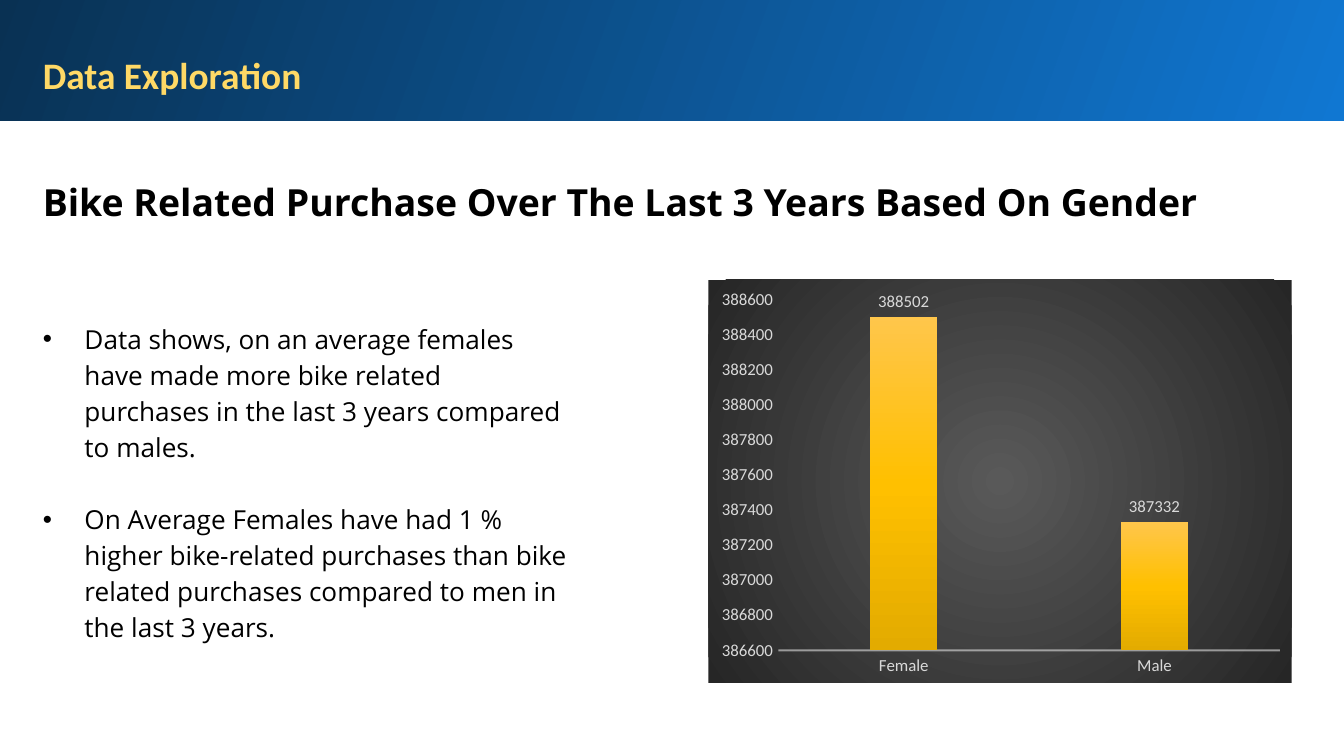
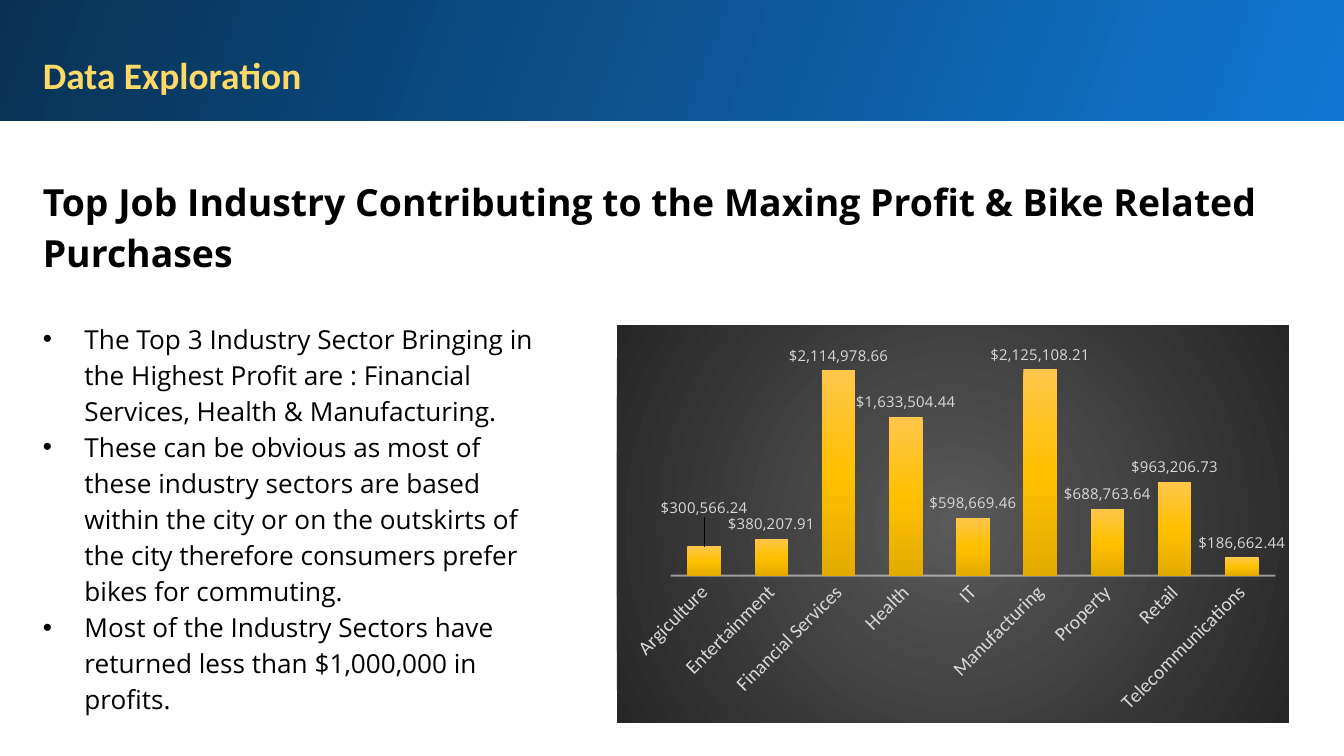
from dataclasses import dataclass
from typing import NamedTuple

from pptx import Presentation
from pptx import util as u
from pptx.chart.data import CategoryChartData
from pptx.dml.color import RGBColor
from pptx.enum import chart as ch, shapes, text
from pptx.oxml import parse_xml
from pptx.oxml.ns import nsdecls, qn

# Shared look
SLIDE_W, SLIDE_H = u.Inches(10), u.Inches(5.625)
BLACK, GOLD, PALE, AXIS = "000000", "FFD966", "D9D9D9", "F2F2F2"
HEAD_FONT, BODY_FONT = "Calibri", "Open Sans"
BAND_STOPS = [(0, "1077D2"), (100, "093153")]
PANEL_STOPS = [(0, "595959"), (100, "262626")]
BAR_STOPS = [(0, "FFC64B"), (50, "FFC000"), (100, "E3AB00")]
LEFT, FULL = 2.2, 93.7


class Box(NamedTuple):
    """Left, top, width and height as percent of the slide's size."""
    left: float
    top: float
    width: float
    height: float

    def emu(self) -> tuple:
        sides = (SLIDE_W, SLIDE_H, SLIDE_W, SLIDE_H)
        return tuple(int(share * side / 100) for share, side in zip(self, sides))


class Scale(NamedTuple):
    low: float
    high: float
    step: float
    visible: bool


@dataclass
class ColumnChart:
    box: Box
    values: dict
    scale: Scale
    plot: tuple          # left, top, width, height as shares of the chart
    gap: int
    overlap: int
    category_size: float
    label_size: float
    label_font: str
    label_format: str = "General"
    category_turn: int = 0     # degrees
    first_label_lift: float = 0


@dataclass
class Finding:
    heading: str
    heading_height: float
    bullets: list
    bullet_box: Box
    bullet_gap: float
    chart: ColumnChart


def color(hex_code: str) -> RGBColor:
    return RGBColor.from_string(hex_code)


def gradient(stops: list, angle: int | None = None):
    """Linear gradient at an angle, or a circular one without it."""
    marks = "".join(f'<a:gs pos="{pos * 1000}"><a:srgbClr val="{code}"/></a:gs>'
                    for pos, code in stops)
    if angle is None:
        direction = ('<a:path path="circle"><a:fillToRect l="50000" t="50000" '
                     'r="50000" b="50000"/></a:path>')
    else:
        direction = f'<a:lin ang="{angle * 60000}" scaled="0"/>'
    return parse_xml(f'<a:gradFill {nsdecls("a")} rotWithShape="1"><a:gsLst>{marks}'
                     f'</a:gsLst>{direction}</a:gradFill>')


def fill_gradient(fill, properties, stops: list, angle: int) -> None:
    fill.solid()
    solid = properties.find(qn("a:solidFill"))
    properties.replace(solid, gradient(stops, angle))


def set_font(font, size: float, name: str, hex_code: str, bold: bool = False) -> None:
    font.size, font.name, font.bold = u.Pt(size), name, bold
    font.color.rgb = color(hex_code)


def add_text(slide, box: Box, paragraphs: list, *, size: float, font: str = BODY_FONT,
             hex_code: str = BLACK, bold: bool = False, spacing: float = 1.15,
             bullet: bool = False, gap: float = 0) -> None:
    frame = slide.shapes.add_textbox(*box.emu()).text_frame
    frame.word_wrap = True
    frame.auto_size = text.MSO_AUTO_SIZE.SHAPE_TO_FIT_TEXT
    frame.margin_left = frame.margin_right = u.Inches(0.1)
    frame.margin_top = frame.margin_bottom = u.Inches(0.1)
    for index, words in enumerate(paragraphs):
        paragraph = frame.add_paragraph() if index else frame.paragraphs[0]
        paragraph.line_spacing = spacing
        if index and gap:
            paragraph.space_before = u.Pt(gap)
        if bullet:
            props = paragraph._p.get_or_add_pPr()
            props.set("marL", str(u.Inches(0.31)))
            props.set("indent", str(-u.Inches(0.31)))
            props.append(parse_xml(f'<a:buFont {nsdecls("a")} typeface="Arial"/>'))
            props.append(parse_xml(f'<a:buChar {nsdecls("a")} char="\u2022"/>'))
        run = paragraph.add_run()
        run.text = words
        set_font(run.font, size, font, hex_code, bold)


def manual_layout(parts: str):
    return parse_xml(f'<c:layout {nsdecls("c")}><c:manualLayout>{parts}'
                     '</c:manualLayout></c:layout>')


def place_plot(chart, shares: tuple) -> None:
    area = chart._chartSpace.chart.plotArea
    for old in area.findall(qn("c:layout")):
        area.remove(old)
    parts = ('<c:layoutTarget val="inner"/><c:xMode val="edge"/>'
             '<c:yMode val="edge"/>')
    parts += "".join(f'<c:{key} val="{share}"/>' for key, share in zip("xywh", shares))
    area.insert(0, manual_layout(parts))


def style_axes(chart, spec_: ColumnChart) -> None:
    categories, amounts = chart.category_axis, chart.value_axis
    for axis, size in ((categories, spec_.category_size), (amounts, 9)):
        axis.has_major_gridlines = False
        axis.major_tick_mark = axis.minor_tick_mark = ch.XL_TICK_MARK.NONE
        set_font(axis.tick_labels.font, size, HEAD_FONT, PALE)
    line = categories.format.line
    line.width = u.Pt(1)
    line.color.rgb = color(AXIS)
    tint = categories._element.find(qn("c:spPr")).find(".//" + qn("a:srgbClr"))
    tint.append(parse_xml(f'<a:alpha {nsdecls("a")} val="54000"/>'))
    if spec_.category_turn:
        body = categories._element.find(qn("c:txPr")).find(qn("a:bodyPr"))
        body.set("rot", str(spec_.category_turn * 60000))
        body.set("vert", "horz")
    amounts.format.line.fill.background()
    amounts.minimum_scale, amounts.maximum_scale = spec_.scale.low, spec_.scale.high
    amounts.major_unit = spec_.scale.step
    amounts.visible = spec_.scale.visible


def style_labels(plot, spec_: ColumnChart) -> None:
    plot.has_data_labels = True
    labels = plot.data_labels
    labels.show_value = True
    labels.position = ch.XL_LABEL_POSITION.OUTSIDE_END
    labels.number_format = spec_.label_format
    labels.number_format_is_linked = False
    set_font(labels.font, spec_.label_size, spec_.label_font, PALE)
    if not spec_.first_label_lift:
        return
    # The first label is raised clear of its neighbour
    series = plot.series[0]
    series_labels = series.data_labels
    series_labels.show_value = True
    series_labels.position = ch.XL_LABEL_POSITION.OUTSIDE_END
    series_labels.number_format = spec_.label_format
    series_labels.number_format_is_linked = False
    set_font(series_labels.font, spec_.label_size, spec_.label_font, PALE)
    first = series.points[0].data_label
    first.position = ch.XL_LABEL_POSITION.OUTSIDE_END
    set_font(first.font, spec_.label_size, spec_.label_font, PALE)
    node = series._element.find(".//" + qn("c:dLbl"))
    node.insert(1, manual_layout(f'<c:x val="0"/><c:y val="{-spec_.first_label_lift}"/>'))
    node.insert(2, parse_xml(f'<c:numFmt {nsdecls("c")} sourceLinked="0" '
                             f'formatCode="{spec_.label_format}"/>'))


def add_columns(slide, spec_: ColumnChart) -> None:
    data = CategoryChartData(number_format=spec_.label_format)
    data.categories = list(spec_.values)
    data.add_series("Series 1", list(spec_.values.values()))
    chart = slide.shapes.add_chart(ch.XL_CHART_TYPE.COLUMN_CLUSTERED,
                                   *spec_.box.emu(), data).chart
    chart.has_legend = chart.has_title = False
    set_font(chart.font, 10, HEAD_FONT, BLACK)
    # Dark panel behind the columns
    panel = parse_xml(f'<c:spPr {nsdecls("c", "a")}><a:ln><a:noFill/></a:ln></c:spPr>')
    panel.insert(0, gradient(PANEL_STOPS))
    chart._chartSpace.chart.addnext(panel)
    # Columns
    plot = chart.plots[0]
    plot.vary_by_categories = False
    plot.gap_width, plot.overlap = spec_.gap, spec_.overlap
    series = plot.series[0]
    series.invert_if_negative = False
    fill = series.format.fill
    fill_gradient(fill, series._element.find(qn("c:spPr")), BAR_STOPS, 90)
    style_axes(chart, spec_)
    style_labels(plot, spec_)
    place_plot(chart, spec_.plot)


def add_header(slide) -> None:
    band = slide.shapes.add_shape(shapes.MSO_SHAPE.RECTANGLE,
                                  *Box(-0.2, -0.36, 100.2, 16.36).emu())
    band.shadow.inherit = False
    band.line.fill.background()
    fill_gradient(band.fill, band._element.spPr, BAND_STOPS, 200)
    add_text(slide, Box(LEFT, 5.16, FULL, 9.6), ["Data Exploration"], size=20,
             font=HEAD_FONT, hex_code=GOLD, bold=True, spacing=1.0)


def add_finding(deck, finding: Finding) -> None:
    slide = deck.slides.add_slide(deck.slide_layouts[6])
    add_header(slide)
    add_text(slide, Box(LEFT, 20.98, FULL, finding.heading_height), [finding.heading],
             size=20, bold=True)
    add_text(slide, finding.bullet_box, finding.bullets, size=14, bullet=True,
             gap=finding.bullet_gap)
    add_columns(slide, finding.chart)


FINDINGS = [
    Finding(
        "Bike Related Purchase Over The Last 3 Years Based On Gender", 9.96,
        ["Data shows, on an average females have made more bike related purchases in "
         "the last 3 years compared to males.",
         "On Average Females have had 1 % higher bike-related purchases than bike "
         "related purchases compared to men in the last 3 years."],
        Box(LEFT, 40.36, 41.2, 46.58), 19.3,
        ColumnChart(Box(52.7, 36.98, 43.4, 53.33), {"Female": 388502, "Male": 387332},
                    Scale(386600, 388600, 200, True), (0.12, 0.05, 0.86, 0.87),
                    gap=274, overlap=4, category_size=9, label_size=9,
                    label_font=HEAD_FONT)),
    Finding(
        "Top Job Industry Contributing to the Maxing Profit & Bike Related Purchases",
        16.89,
        ["The Top 3 Industry Sector Bringing in the Highest Profit are : Financial "
         "Services, Health & Manufacturing.",
         "These can be obvious as most of these industry sectors are based within the "
         "city or on the outskirts of the city therefore consumers prefer bikes for "
         "commuting.",
         "Most of the Industry Sectors have returned less than $1,000,000 in profits."],
        Box(LEFT, 40.36, 39.9, 57.24), 0,
        ColumnChart(Box(45.9, 43.02, 50, 52.62),
                    {"Argiculture": 300566.24, "Entertainment": 380207.91,
                     "Financial Services": 2114978.66, "Health": 1633504.44,
                     "IT": 598669.46, "Manufacturing": 2125108.21,
                     "Property": 688763.64, "Retail": 963206.73,
                     "Telecommunications": 186662.44},
                    Scale(0, 2500000, 500000, False), (0.08, 0.02, 0.9, 0.61),
                    gap=100, overlap=-24, category_size=10.5, label_size=8,
                    label_font=BODY_FONT, label_format="[$$-409]#,##0.00",
                    category_turn=-45, first_label_lift=0.06)),
]

presentation = Presentation()
presentation.slide_width, presentation.slide_height = SLIDE_W, SLIDE_H
for item in FINDINGS:
    add_finding(presentation, item)
presentation.save("out.pptx")
